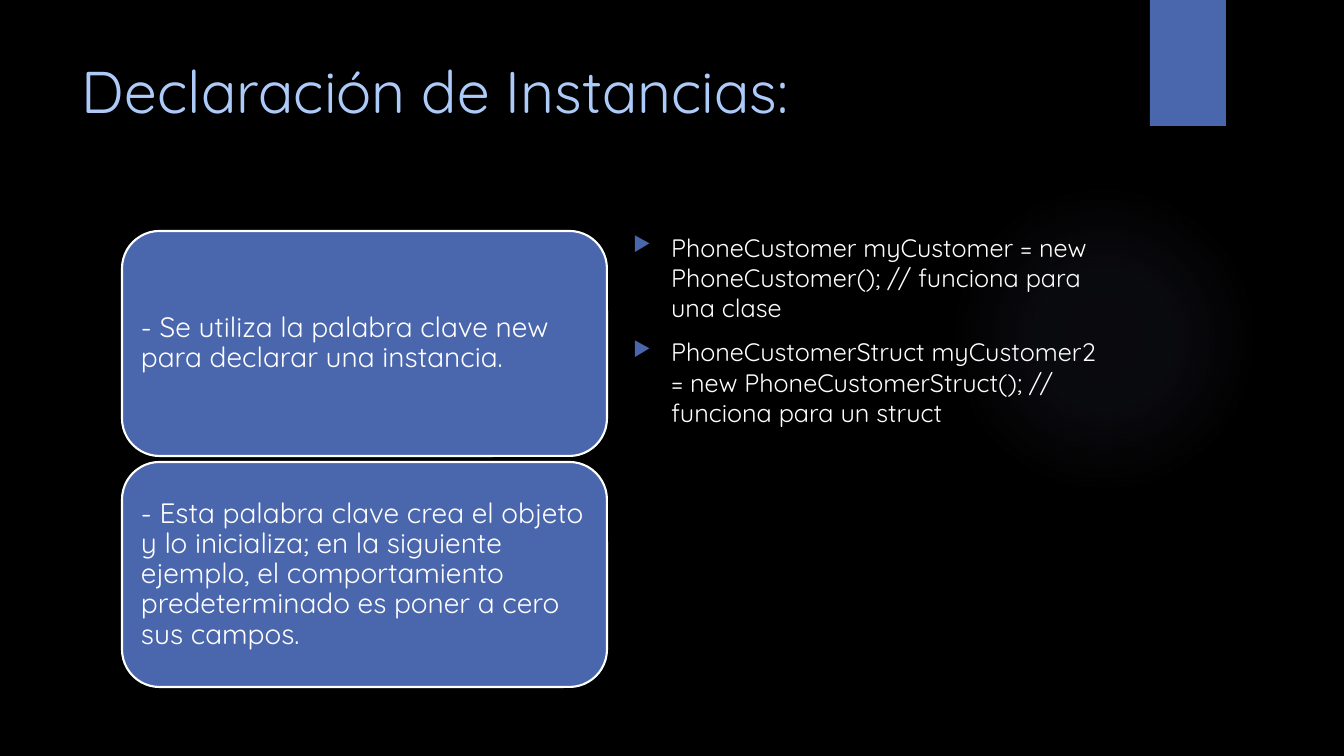
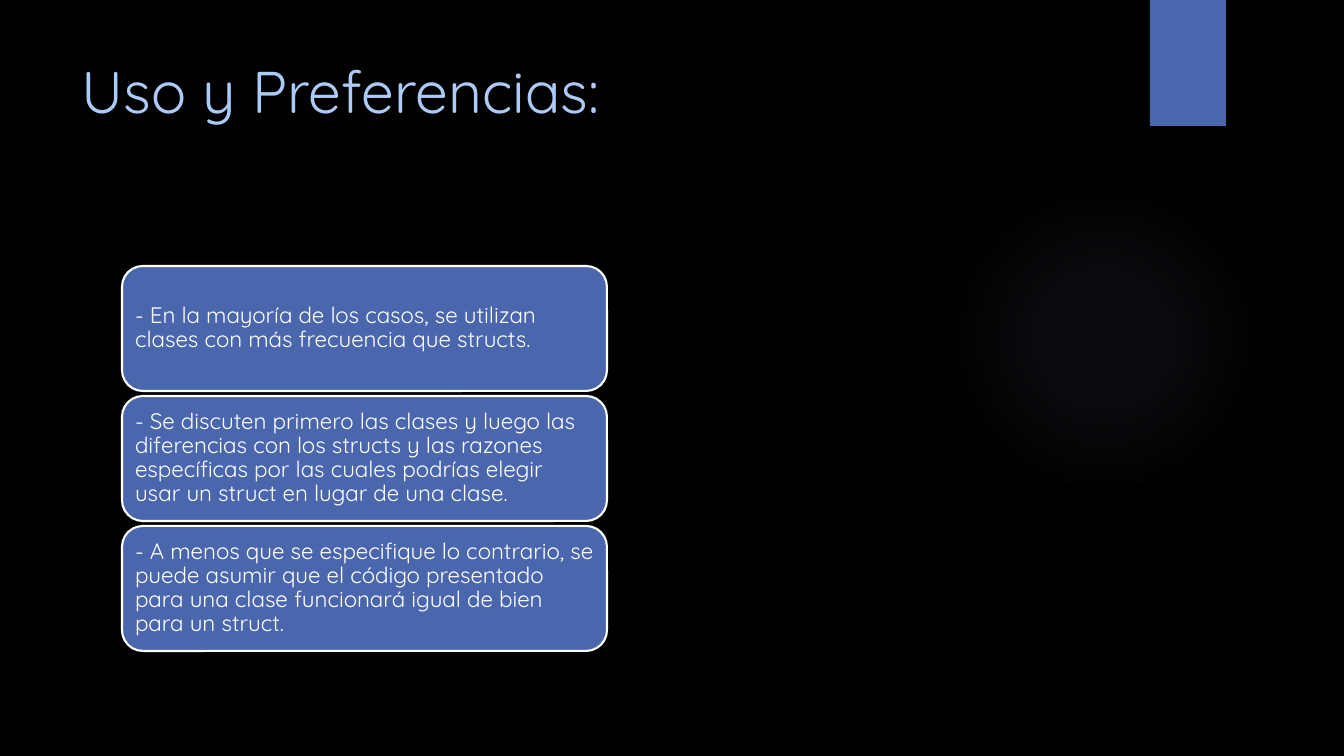
import pptx
import pptx.util
import pptx.dml.color
import pptx.enum.shapes
import pptx.enum.text
import pptx.oxml
import pptx.oxml.ns

RGBColor = pptx.dml.color.RGBColor
SHAPE = pptx.enum.shapes.MSO_SHAPE
ANCHOR = pptx.enum.text.MSO_ANCHOR
ALIGN = pptx.enum.text.PP_ALIGN
Pt = pptx.util.Pt

FONT = "Quicksand"
BLACK = RGBColor(0x00, 0x00, 0x00)
WHITE = RGBColor(0xFF, 0xFF, 0xFF)
BLUE = RGBColor(0x4A, 0x66, 0xAC)
SKY = RGBColor(0xAC, 0xCB, 0xF9)
GLOW = RGBColor(0x92, 0x97, 0xCF)

EMU_PER_PX = 914400 / 100.8
CARD_LEFT, CARD_WIDTH = 122, 485
NS = pptx.oxml.ns.nsdecls("a")


def px(*lengths):
    """Turn lengths in px into EMU."""
    return [pptx.util.Emu(round(n * EMU_PER_PX)) for n in lengths]


def write(tf, *texts, size, color=WHITE, anchor=ANCHOR.TOP, margins=(10, 5),
          spacing=None, before=0, bullet=None, indent=38):
    """Fill a text frame with one paragraph per text."""
    tf.word_wrap = True
    tf.vertical_anchor = anchor
    tf.margin_left = tf.margin_right = px(margins[0])[0]
    tf.margin_top = tf.margin_bottom = px(margins[1])[0]
    for i, text in enumerate(texts):
        p = tf.add_paragraph() if i else tf.paragraphs[0]
        p.alignment = ALIGN.LEFT
        if spacing:
            p.line_spacing = spacing
        if i:
            p.space_before = Pt(before)
        if bullet:
            pPr = p._p.get_or_add_pPr()
            hang = px(indent)[0]
            pPr.set("marL", str(hang))
            pPr.set("indent", str(-hang))
            for xml in (f'<a:buClr {NS}><a:srgbClr val="{BLUE}"/></a:buClr>',
                        f'<a:buSzPct {NS} val="80000"/>',
                        f'<a:buChar {NS} char="{bullet}"/>'):
                pPr.append(pptx.oxml.parse_xml(xml))
        r = p.add_run()
        r.text = text
        r.font.name = FONT
        r.font.size = Pt(size)
        r.font.color.rgb = color


slides = [
    dict(title="Declaración de Instancias:",
         top=231, height=225, pitch=231, size=20, margin=8,
         cards=["- Se utiliza la palabra clave new para declarar una instancia.",
                "- Esta palabra clave crea el objeto y lo inicializa; en la siguiente ejemplo, "
                "el comportamiento predeterminado es poner a cero sus campos."],
         examples=["PhoneCustomer myCustomer = new PhoneCustomer(); // funciona para una clase",
                   "PhoneCustomerStruct myCustomer2 = new PhoneCustomerStruct(); "
                   "// funciona para un struct"]),
    dict(title="Uso y Preferencias:",
         top=266, height=125, pitch=130, size=16, margin=7,
         cards=["- En la mayoría de los casos, se utilizan clases con más frecuencia que structs.",
                "- Se discuten primero las clases y luego las diferencias con los structs y las "
                "razones específicas por las cuales podrías elegir usar un struct en lugar de "
                "una clase.",
                "- A menos que se especifique lo contrario, se puede asumir que el código "
                "presentado para una clase funcionará igual de bien para un struct."],
         examples=[]),
]

prs = pptx.Presentation()
prs.slide_width, prs.slide_height = px(1344, 756)
background = prs.slide_master.background.fill
background.solid()
background.fore_color.rgb = BLACK

glow_stops = "".join(
    f'<a:gs pos="{pos}000"><a:srgbClr val="{GLOW}"><a:alpha val="{alpha}000"/></a:srgbClr></a:gs>'
    for pos, alpha in ((0, 7), (36, 6), (69, 0)))
glow_xml = (f'<a:gradFill {NS} rotWithShape="1"><a:gsLst>{glow_stops}</a:gsLst>'
            '<a:path path="circle"><a:fillToRect l="50000" t="50000" r="50000" b="50000"/>'
            '</a:path></a:gradFill>')

for content in slides:
    s = prs.slides.add_slide(prs.slide_layouts[6])

    glow = s.shapes.add_shape(SHAPE.OVAL, *px(949, 184, 310, 310))
    glow.shadow.inherit = False
    glow.line.fill.background()
    glow._element.spPr.find(pptx.oxml.ns.qn("a:prstGeom")).addnext(
        pptx.oxml.parse_xml(glow_xml))

    tab = s.shapes.add_shape(SHAPE.RECTANGLE, *px(1150, 0, 76, 126))
    tab.shadow.inherit = False
    tab.fill.solid()
    tab.fill.fore_color.rgb = BLUE
    tab.line.fill.background()

    title = s.shapes.add_textbox(*px(72, 50, 1037, 154))
    write(title.text_frame, content["title"], size=42, color=SKY)

    for i, text in enumerate(content["cards"]):
        top = content["top"] + i * content["pitch"]
        card = s.shapes.add_shape(
            SHAPE.ROUNDED_RECTANGLE, *px(CARD_LEFT, top, CARD_WIDTH, content["height"]))
        card.shadow.inherit = False
        card.fill.solid()
        card.fill.fore_color.rgb = BLUE
        card.line.color.rgb = WHITE
        card.line.width = Pt(1.5)
        write(card.text_frame, text, size=content["size"], anchor=ANCHOR.MIDDLE,
              margins=(content["margin"], content["margin"]), spacing=0.9)

    if content["examples"]:
        examples = s.shapes.add_textbox(*px(623, 227, 485, 463))
        write(examples.text_frame, *content["examples"], size=18, before=10, bullet="▶")

prs.save("out.pptx")
